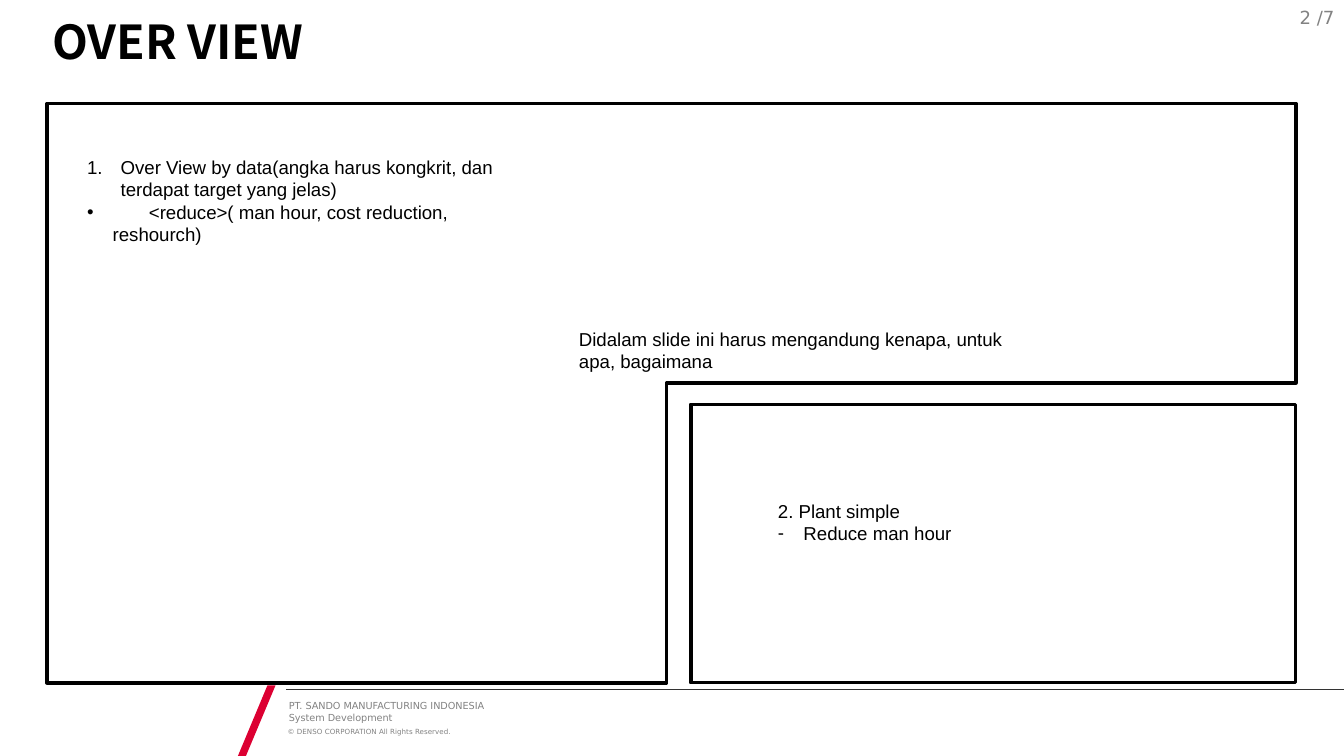
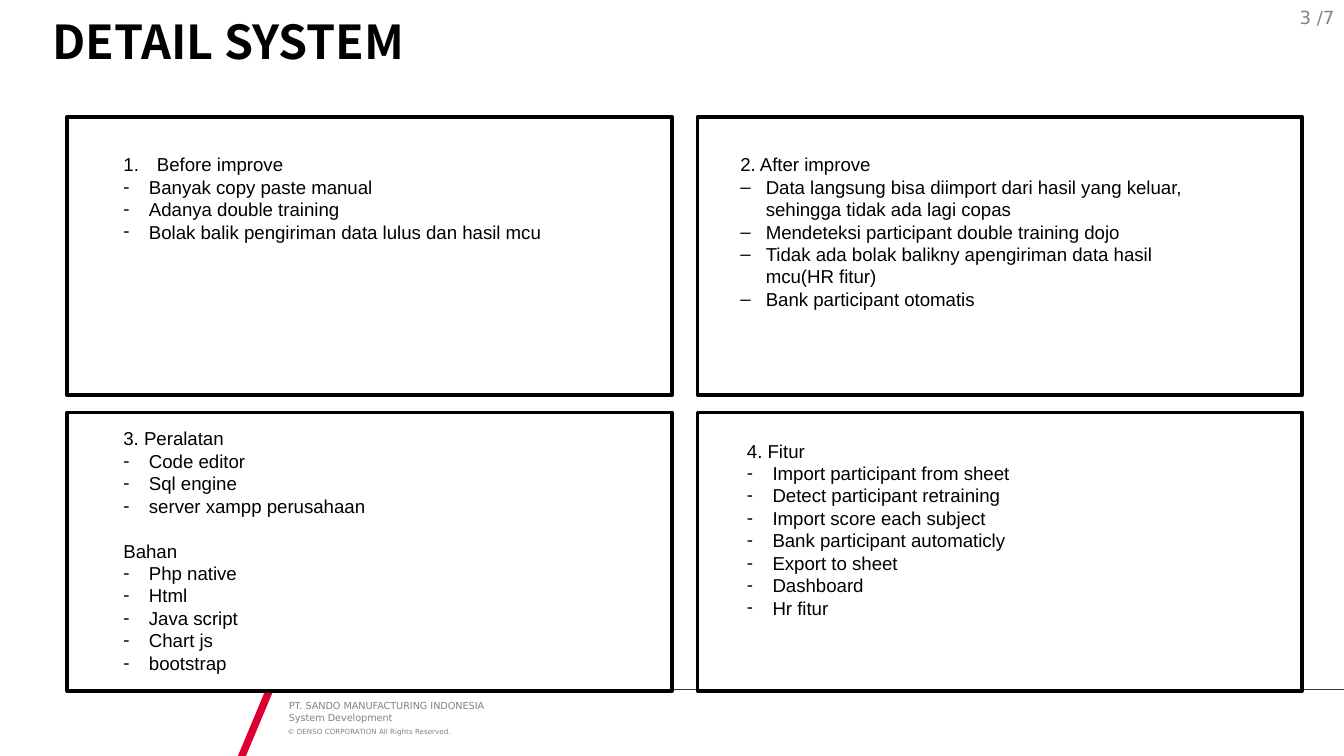
from lxml import etree
from pptx import Presentation
from pptx.dml.color import RGBColor
from pptx.enum.shapes import MSO_CONNECTOR, MSO_SHAPE
from pptx.enum.text import MSO_ANCHOR, MSO_AUTO_SIZE, PP_ALIGN
from pptx.oxml.ns import qn
from pptx.util import Emu, Inches, Pt

LEFT, RIGHT = PP_ALIGN.LEFT, PP_ALIGN.RIGHT
MIDDLE, TOP = MSO_ANCHOR.MIDDLE, MSO_ANCHOR.TOP
NO_FIT, GROW = MSO_AUTO_SIZE.NONE, MSO_AUTO_SIZE.SHAPE_TO_FIT_TEXT
RECTANGLE, STRAIGHT = MSO_SHAPE.RECTANGLE, MSO_CONNECTOR.STRAIGHT

BLACK = RGBColor(0x00, 0x00, 0x00)
WHITE = RGBColor(0xFF, 0xFF, 0xFF)
GREY = RGBColor(0x82, 0x82, 0x82)
RED = RGBColor(0xDC, 0x00, 0x32)
RULE = RGBColor(0x33, 0x33, 0x33)

TITLE_FONT, BODY_FONT, FOOTER_FONT = "Noto Sans CJK JP", "Arial", "DejaVu Sans"

SLIDE_WIDTH = 10
SLIDE_HEIGHT = SLIDE_WIDTH * 9 / 16
PAGE_COUNT = 7
PANEL_WIDTH, PANEL_HEIGHT = 4.5, 2.07
COLUMN_STEP, ROW_STEP = 4.69, 2.2
NOTE_WIDTH = 3.5
NUMBER = "1."
FOOTER_LEFT, FOOTER_TOP = 2.13, 5.13


def style(para, size, font, color, bold=False):
    para.font.size = Pt(size)
    para.font.name = font
    para.font.color.rgb = color
    para.font.bold = bold


def set_marker(para, marker):
    """Hang a bullet character, or an automatic number, before the paragraph."""
    indent = Inches(0.25 if marker == NUMBER else 0.19)
    properties = para._p.get_or_add_pPr()
    properties.set("marL", str(indent))
    properties.set("indent", str(-indent))
    etree.SubElement(properties, qn("a:buFont"), typeface=BODY_FONT)
    if marker == NUMBER:
        etree.SubElement(properties, qn("a:buAutoNum"), type="arabicPeriod")
    else:
        etree.SubElement(properties, qn("a:buChar"), char=marker)


def set_tab(para, position):
    tabs = etree.SubElement(para._p.get_or_add_pPr(), qn("a:tabLst"))
    etree.SubElement(tabs, qn("a:tab"), pos=str(Inches(position)), algn="l")


def set_frame(frame, margins, anchor=TOP, fit=NO_FIT):
    frame.word_wrap = True
    frame.auto_size = fit
    frame.vertical_anchor = anchor
    frame.margin_left, frame.margin_top, frame.margin_right, frame.margin_bottom = (
        Inches(margin) for margin in margins)


def add_text(page, area, margins, anchor=TOP, fit=GROW):
    box = page.shapes.add_textbox(*(Inches(length) for length in area))
    set_frame(box.text_frame, margins, anchor, fit)
    return box.text_frame


def add_lines(frame, texts):
    """Put each text in its own paragraph and return the paragraphs."""
    paras = []
    for text in texts:
        para = frame.add_paragraph() if paras else frame.paragraphs[0]
        para.text = text
        paras.append(para)
    return paras


def add_note(page, left, top, items):
    """Add a body text from (marker, text) pairs and return its paragraphs."""
    height = 0.1 + len(items) / 6
    frame = add_text(page, (left, top, NOTE_WIDTH, height), (0.1, 0.05, 0.1, 0.05))
    paras = add_lines(frame, [text for _, text in items])
    for para, (marker, text) in zip(paras, items):
        if marker:
            set_marker(para, marker)
        if text.startswith("\t"):
            set_tab(para, 0.46)
        style(para, 10, BODY_FONT, BLACK)
    return paras


def headed_list(heading, marker, texts):
    return [("", heading)] + [(marker, text) for text in texts]


def paint(shape, fill, line=None):
    shape.shadow.inherit = False
    shape.fill.solid()
    shape.fill.fore_color.rgb = fill
    if line is None:
        shape.line.fill.background()
    else:
        shape.line.color.rgb = line
        shape.line.width = Pt(2)


def add_outline(page, points, fill, line=None):
    builder = page.shapes.build_freeform(
        *(Inches(length) for length in points[0]), scale=1.0)
    builder.add_line_segments(
        [(Inches(x), Inches(y)) for x, y in points[1:]], close=True)
    paint(builder.convert_to_shape(), fill, line)


def panel_corner(origin, column, row):
    return origin[0] + column * COLUMN_STEP, origin[1] + row * ROW_STEP


def add_panel(page, origin, column, row):
    left, top = panel_corner(origin, column, row)
    panel = page.shapes.add_shape(
        RECTANGLE, Inches(left), Inches(top),
        Inches(PANEL_WIDTH), Inches(PANEL_HEIGHT))
    paint(panel, WHITE, BLACK)


def add_footer(page):
    rule = page.shapes.add_connector(
        STRAIGHT, Inches(FOOTER_LEFT), Inches(FOOTER_TOP),
        Inches(SLIDE_WIDTH), Inches(FOOTER_TOP))
    rule.line.color.rgb = RULE
    rule.line.width = Pt(0.5)
    etree.SubElement(rule._element.spPr, qn("a:effectLst"))

    add_outline(page, [(2.05, 5.1), (1.99, 5.1), (1.77, SLIDE_HEIGHT),
                       (1.83, SLIDE_HEIGHT)], RED)

    owner = add_text(page, (FOOTER_LEFT, 5.21, 6.3, 0.18), (0.02, 0, 0, 0))
    for para in add_lines(owner, ["PT. SANDO MANUFACTURING INDONESIA",
                                  "System Development"]):
        style(para, 5.2, FOOTER_FONT, GREY)
    rights = add_text(page, (FOOTER_LEFT, 5.41, 6.3, 0.06), (0.01, 0, 0, 0))
    for para in add_lines(rights, ["© DENSO CORPORATION All Rights Reserved."]):
        style(para, 3.8, FOOTER_FONT, GREY)


def add_page(deck, title, number):
    page = deck.slides.add_slide(deck.slide_layouts.get_by_name("Title Only"))
    add_footer(page)

    counter = add_text(page, (7.75, -0.02, 2.25, 0.3),
                       (0.07, 0.04, 0.07, 0.04), MIDDLE, NO_FIT)
    for para in add_lines(counter, [f"{number} /{PAGE_COUNT}"]):
        para.alignment = RIGHT
        style(para, 9.7, FOOTER_FONT, GREY)

    heading = page.shapes.title
    heading.left, heading.top = Emu(0), Inches(0.16)
    heading.width, heading.height = deck.slide_width, Inches(0.29)
    set_frame(heading.text_frame, (0.39, 0, 1.57, 0), MIDDLE)
    for para in add_lines(heading.text_frame, [title]):
        para.alignment = LEFT
        style(para, 25, TITLE_FONT, BLACK, bold=True)
    return page


def add_overview(deck):
    page = add_page(deck, "OVER VIEW", 2)
    origin = (0.45, 0.81)
    left, top, right, bottom = 0.35, 0.77, 9.64, 5.08
    notch_left, notch_top = 4.96, 2.85
    add_outline(page, [(left, top), (right, top), (right, notch_top),
                       (notch_left, notch_top), (notch_left, bottom),
                       (left, bottom)], WHITE, BLACK)
    add_panel(page, origin, 1, 1)

    add_note(page, 0.55, 1.11, [
        (NUMBER, "Over View by data(angka harus kongkrit, dan "
                 "terdapat target yang jelas)"),
        ("•", "\t<reduce>( man hour, cost reduction, reshourch)")])
    add_note(page, 5.69, 3.67,
             headed_list("2. Plant simple", "-", ["Reduce man hour"]))
    add_note(page, 4.21, 2.39, [
        ("", "Didalam slide ini harus mengandung kenapa, untuk apa, bagaimana")])


def add_detail(deck):
    page = add_page(deck, "DETAIL SYSTEM", 3)
    origin = (0.5, 0.87)
    for row in range(2):
        for column in range(2):
            add_panel(page, origin, column, row)

    before = [(NUMBER, "Before improve")] + [("-", text) for text in (
        "Banyak copy paste manual", "Adanya double training",
        "Bolak balik pengiriman data lulus dan hasil mcu")]
    after = headed_list("2. After improve", "‒", [
        "Data langsung bisa diimport dari hasil yang keluar, "
        "sehingga tidak ada lagi copas",
        "Mendeteksi participant double training dojo",
        "Tidak ada bolak balikny apengiriman data hasil mcu(HR fitur)",
        "Bank participant otomatis"])
    tools = headed_list("3. Peralatan", "-", [
        "Code editor", "Sql engine", "server xampp perusahaan"])
    materials = headed_list("Bahan", "-", [
        "Php native", "Html", "Java script", "Chart js", "bootstrap"])
    features = headed_list("4. Fitur", "-", [
        "Import participant from sheet", "Detect participant retraining",
        "Import score each subject", "Bank participant automaticly",
        "Export to sheet", "Dashboard", "Hr fitur"])

    add_note(page, 0.82, 1.09, before)
    add_note(page, 5.41, 1.09, after)
    equipment = add_note(page, 0.82, 3.13, tools + materials)
    equipment[len(tools)].space_before = Pt(12)
    add_note(page, 5.46, 3.22, features)


def main():
    deck = Presentation()
    deck.slide_width = Inches(SLIDE_WIDTH)
    deck.slide_height = Inches(SLIDE_HEIGHT)
    add_overview(deck)
    add_detail(deck)
    deck.save("out.pptx")


if __name__ == "__main__":
    main()
